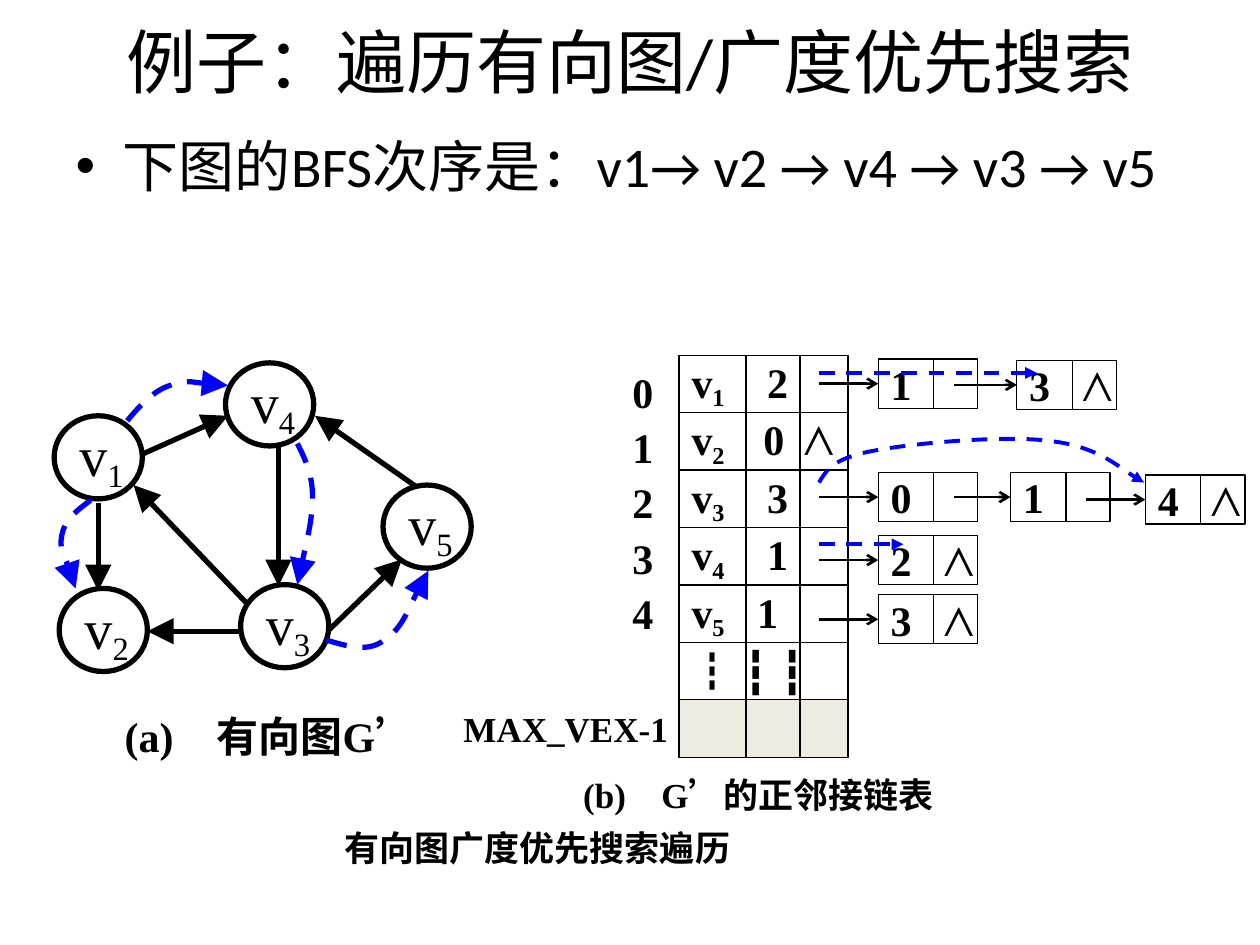
from collections import namedtuple

from lxml.etree import SubElement
from pptx import Presentation
from pptx.dml.color import RGBColor
from pptx.enum.dml import MSO_LINE_DASH_STYLE as Dash
from pptx.enum.shapes import MSO_CONNECTOR as Connector, MSO_SHAPE as Shape
from pptx.enum.text import MSO_ANCHOR as Anchor, PP_ALIGN as Align
from pptx.oxml.ns import qn
from pptx.util import Inches, Pt

BLACK = RGBColor(0x00, 0x00, 0x00)
BLUE = RGBColor(0x00, 0x00, 0xFF)
CREAM = RGBColor(0xEE, 0xEC, 0xE1)

Box = namedtuple("Box", "left top width height")
SERIF = {"name": "Times New Roman", "size": Pt(24), "bold": True}
CAPTION = {**SERIF, "size": Pt(20)}
VERTEX = {**SERIF, "size": Pt(32), "bold": False}
THIN = {"width": Pt(0.75)}
POINTER = {"width": Pt(1.5)}
EDGE = {"width": Pt(3)}
LIST_VISIT = {"width": Pt(2.25), "dash_style": Dash.DASH}
GRAPH_VISIT = {"width": Pt(3), "dash_style": Dash.DASH}
OPEN_HEAD = {"type": "arrow"}
SOLID_HEAD = {"type": "triangle"}
LARGE_HEAD = {"type": "triangle", "w": "lg", "len": "lg"}
NIL = ("⋀", {"bold": False})


def inside(box, left, top, width=0, height=0):
    """Return a box placed by its offset within another."""
    return Box(box.left + left, box.top + top, width, height)


def lengths(values):
    """Turn numbers of inches into lengths."""
    return [Inches(value) for value in values]


def style_line(shape, formats, color=BLACK, head=None):
    """Format an outline and give it an optional arrowhead."""
    shape.line.color.rgb = color
    for name, value in formats.items():
        setattr(shape.line, name, value)
    if head:
        outline = shape._element.spPr.find(qn("a:ln"))
        SubElement(outline, qn("a:tailEnd"), head)


def write(paragraph, runs, formats, tabs=()):
    """Fill a paragraph with runs of text, format changes and subscripts."""
    if tabs:
        stops = SubElement(paragraph._p.get_or_add_pPr(), qn("a:tabLst"))
        for stop in tabs:
            SubElement(stops, qn("a:tab"), pos=str(Inches(stop)), algn="l")
    for text, changes in runs:
        run = paragraph.add_run()
        run.text = text
        font = {**formats, **changes}
        if font.pop("subscript", False):
            run._r.get_or_add_rPr().set("baseline", "-20000")
        for name, value in font.items():
            setattr(run.font, name, value)
        run.font.color.rgb = BLACK


def set_frame(shape, align):
    """Set a frame to unwrapped text, centred vertically."""
    frame = shape.text_frame
    frame.word_wrap = False
    frame.vertical_anchor = Anchor.MIDDLE
    if align == Align.LEFT:
        frame.margin_right = 0
    return frame


def add_label(slide, box, lines, formats, tabs=(), align=Align.LEFT, spacing=None):
    """Add a text box with one paragraph for each line."""
    frame = set_frame(slide.shapes.add_textbox(*lengths(box)), align)
    for number, line in enumerate(lines):
        paragraph = frame.add_paragraph() if number else frame.paragraphs[0]
        paragraph.alignment = align
        paragraph.line_spacing = spacing
        write(paragraph, [(line, {})], formats, tabs)


def add_outline(slide, kind, box, line, runs, formats, tabs=(), fill=None):
    """Add an outlined shape with left-aligned text."""
    shape = slide.shapes.add_shape(kind, *lengths(box))
    shape.shadow.inherit = False
    if fill:
        shape.fill.solid()
        shape.fill.fore_color.rgb = fill
    else:
        shape.fill.background()
    style_line(shape, line)
    paragraph = set_frame(shape, Align.LEFT).paragraphs[0]
    paragraph.alignment = Align.LEFT
    write(paragraph, runs, formats, tabs)
    return shape


def add_line(slide, box, start, end, formats, color=BLACK, head=None):
    """Add a straight line between two offsets within a box."""
    ends = lengths([*inside(box, *start)[:2], *inside(box, *end)[:2]])
    line = slide.shapes.add_connector(Connector.STRAIGHT, *ends)
    style_line(line, formats, color, head)
    SubElement(line._element.spPr, qn("a:effectLst"))
    return line


def add_curve(slide, box, knots, formats, head):
    """Add a blue arrow along a chain of cubic curves."""
    start, *rest = [lengths(inside(box, *knot)[:2]) for knot in knots]
    builder = slide.shapes.build_freeform(*start)
    builder.add_line_segments(rest, close=False)
    curve = builder.convert_to_shape()
    segments = list(curve._element.iter(qn("a:lnTo")))
    for first in range(0, len(segments), 3):
        outline = segments[first].getparent()
        cubic = SubElement(outline, qn("a:cubicBezTo"))
        for segment in segments[first:first + 3]:
            cubic.append(segment[0])
            outline.remove(segment)
    curve.shadow.inherit = False
    curve.fill.background()
    style_line(curve, formats, BLUE, head)


def fill_placeholder(holder, box, text, size):
    """Move a placeholder and write its text."""
    holder.left, holder.top, holder.width, holder.height = lengths(box)
    write(holder.text_frame.paragraphs[0], [(text, {})], {"name": "Calibri", "size": size})


def draw_graph(slide, box):
    """Draw the directed graph with its visiting order."""
    add_label(slide, inside(box, 0.46, 2.66, 2.45, 0.59), ["(a)\t有向图G’"], SERIF, [0.73])
    vertices = [(0, 0.42), (0.04, 1.79), (1.48, 1.76), (1.36, 0), (2.61, 0.97)]
    for number, place in enumerate(vertices, 1):
        runs = [("v", {}), (str(number), {"subscript": True})]
        add_outline(slide, Shape.OVAL, inside(box, *place, 0.7, 0.66), EDGE, runs, VERTEX)
    edges = [
        ((0.35, 1.11), (0.35, 1.81)), ((1.78, 0.65), (1.78, 1.77)),
        ((1.54, 1.92), (0.63, 0.97)), ((0.71, 0.72), (1.38, 0.42)),
        ((1.49, 2.13), (0.74, 2.13)), ((2.87, 0.98), (2.07, 0.42)),
        ((2.18, 2.12), (2.76, 1.56)),
    ]
    for start, end in edges:
        add_line(slide, box, start, end, EDGE, head=LARGE_HEAD)
    visits = [
        [(0.58, 0.46), (0.68, 0.34), (0.79, 0.22), (0.92, 0.18),
         (1.05, 0.13), (1.3, 0.18), (1.38, 0.18)],
        [(0.29, 1.09), (0.18, 1.17), (0.08, 1.25), (0.06, 1.37),
         (0.04, 1.48), (0.16, 1.72), (0.17, 1.79)],
        [(1.93, 0.64), (1.99, 0.76), (2.05, 0.88), (2.05, 1.06),
         (2.05, 1.25), (1.95, 1.65), (1.93, 1.76)],
        [(2.16, 2.2), (2.33, 2.25), (2.49, 2.3), (2.62, 2.2),
         (2.76, 2.11), (2.91, 1.74), (2.97, 1.65)],
    ]
    for knots in visits:
        add_curve(slide, box, knots, GRAPH_VISIT, LARGE_HEAD)


def draw_vertex_rows(slide, box):
    """Draw the vertex array, one divided row for each entry."""
    rows = [[("v", {}), (str(number), {"subscript": True}), (f"\t{degree}", {})]
            for number, degree in enumerate((2, 0, 3, 1, 1), 1)]
    rows[1] += [("\t", {}), NIL]
    rows += [[("┇", {"name": "Noto Sans CJK SC"}), ("\t┇\t┇", {})], []]
    stops = [[0.6], [0.57, 0.89], [0.6], [0.6], [0.52], [0.41, 0.7], []]
    height = box.height / len(rows)
    for number, (runs, tabs) in enumerate(zip(rows, stops)):
        row = inside(box, 0, number * height, box.width, height)
        fill = None if runs else CREAM
        add_outline(slide, Shape.RECTANGLE, row, THIN, runs, SERIF, tabs, fill)
        for divider in (0.53, 0.96):
            add_line(slide, row, (divider, 0), (divider, height), THIN)


def draw_chain(slide, box, nodes):
    """Draw linked nodes, each joined by an arrow from the one before."""
    starts = [2.92] + [left + 0.6 for left, _, _ in nodes[:-1]]
    for start, (left, top, runs) in zip(starts, nodes):
        place = inside(box, left, top, 0.79, 0.39)
        tabs = [0.42] if len(runs) > 1 else []
        node = add_outline(slide, Shape.RECTANGLE, place, THIN, runs, SERIF, tabs)
        add_line(slide, place, (0.44, 0), (0.44, 0.39), THIN)
        middle = top + 0.39 / 2
        pointer = add_line(slide, box, (start, middle), (left, middle), POINTER, head=OPEN_HEAD)
        pointer.end_connect(node, 1)


def draw_adjacency(slide, box):
    """Draw the adjacency list with its labels and visiting order."""
    add_label(slide, inside(box, 0.95, 3.31, 3, 0.35), ["(b)\tG’的正邻接链表"], CAPTION, [0.62])
    add_label(slide, inside(box, 1.34, -0.01, 0.39, 2.31), "01234", SERIF, spacing=1.1)
    add_label(slide, inside(box, 0, 2.77, 1.78, 0.39), ["MAX_VEX-1"], CAPTION)
    draw_vertex_rows(slide, inside(box, 1.81, 0, 1.34, 3.19))
    chains = [
        [(3.39, 0.03, "1"), (4.49, 0.04, "3")],
        [(3.39, 0.93, "0"), (4.44, 0.93, "1"), (5.51, 0.95, "4")],
        [(3.39, 1.43, "2")],
        [(3.39, 1.9, "3")],
    ]
    for chain in chains:
        nodes = [(left, top, [(index, {})]) for left, top, index in chain]
        nodes[-1][2].extend([("\t", {}), NIL])
        draw_chain(slide, box, nodes)
    for end, level in ((4.65, 0.14), (3.59, 1.5)):
        add_line(slide, box, (2.92, level), (end, level), LIST_VISIT, BLUE, SOLID_HEAD)
    add_curve(slide, box, [
        (2.92, 1.01), (2.98, 0.91), (3.03, 0.82), (3.34, 0.76), (3.64, 0.7),
        (4.39, 0.63), (4.75, 0.68), (5.12, 0.72), (5.38, 0.95), (5.5, 1.01),
    ], LIST_VISIT, SOLID_HEAD)


def main():
    """Build and save the slide."""
    deck = Presentation()
    deck.slide_width, deck.slide_height = Inches(10), Inches(7.5)
    slide = deck.slides.add_slide(deck.slide_layouts[1])
    title, body = slide.placeholders
    fill_placeholder(title, Box(0.5, -0.03, 9, 1.02), "例子：遍历有向图/广度优先搜索", Pt(40))
    fill_placeholder(body, Box(0.5, 0.99, 9, 6.38), "下图的BFS次序是：v1→ v2 → v4 → v3 → v5", Pt(32))
    draw_adjacency(slide, Box(3.58, 2.82, 6.3, 3.66))
    add_label(slide, Box(2.16, 6.55, 4.21, 0.35), ["有向图广度优先搜索遍历"], CAPTION, align=Align.CENTER)
    draw_graph(slide, Box(0.43, 2.88, 3.31, 3.25))
    deck.save("out.pptx")


if __name__ == "__main__":
    main()
